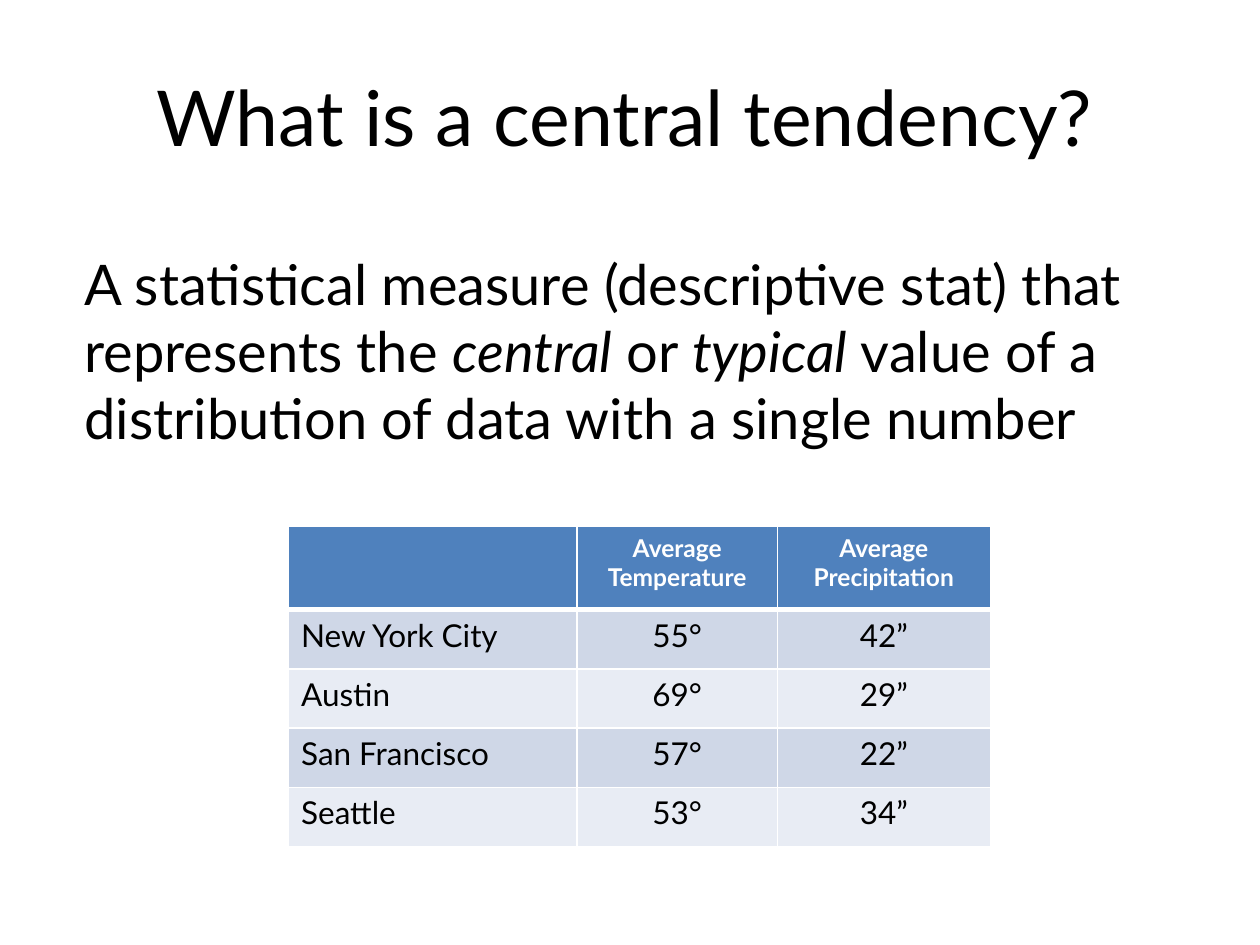
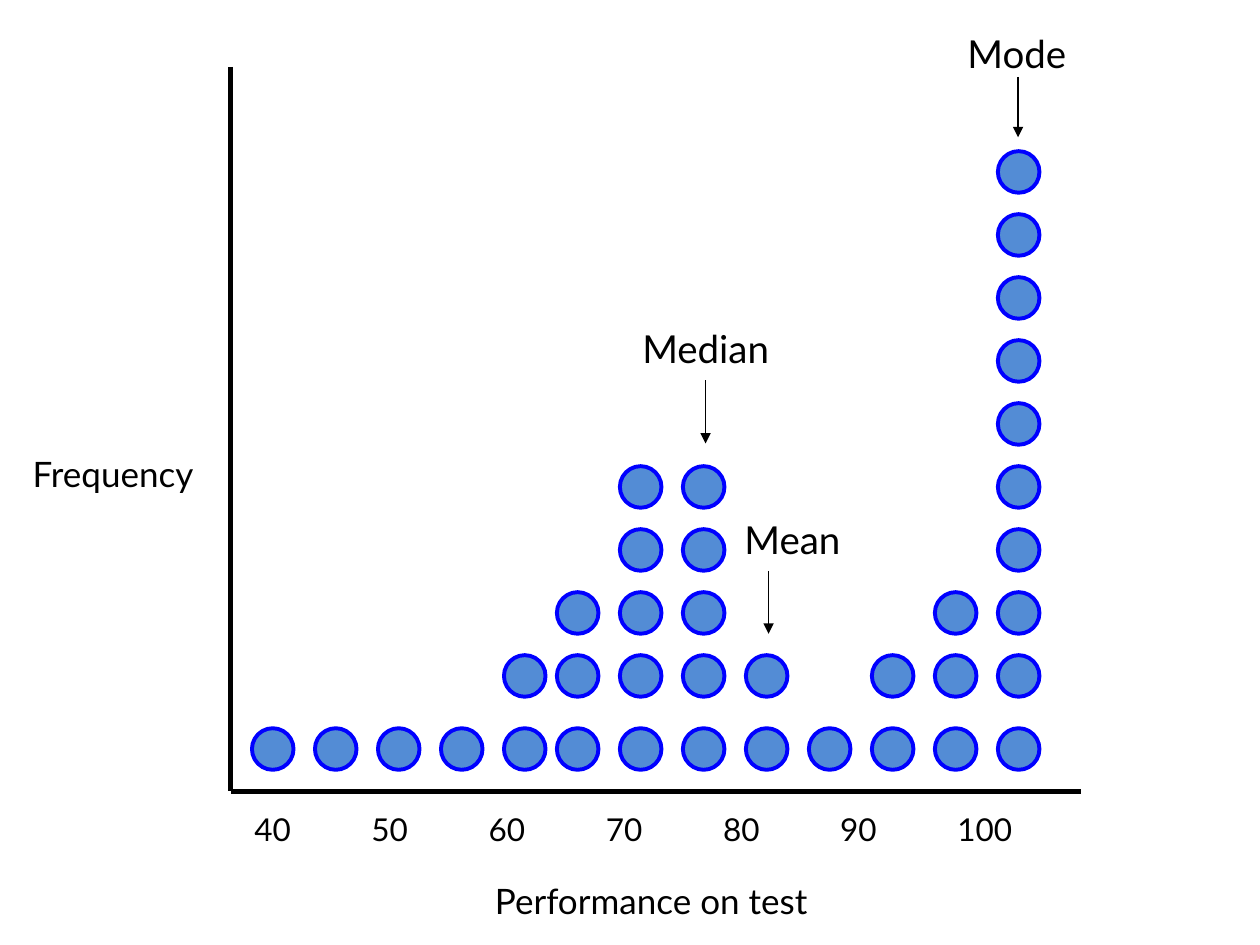
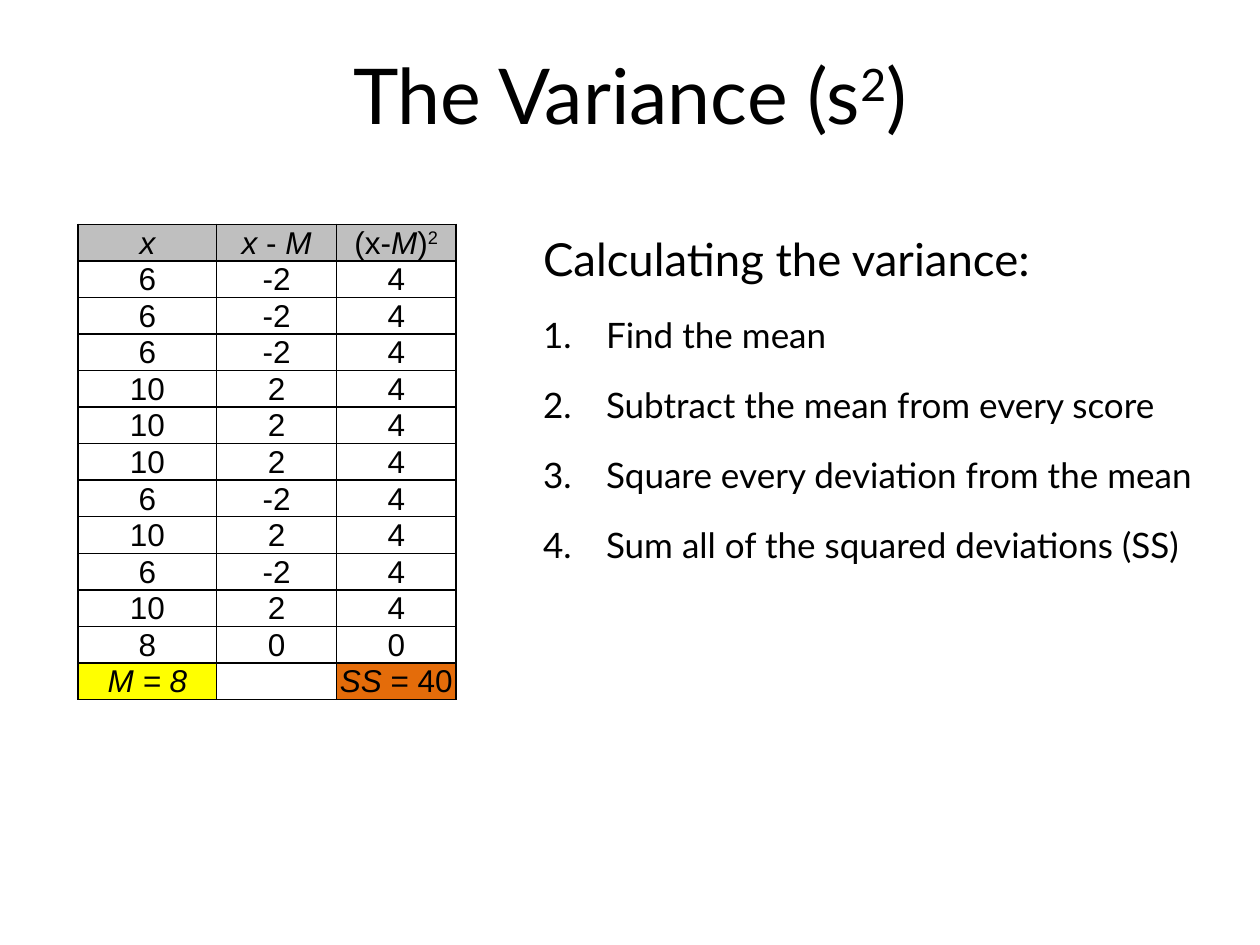
"""Build three slides on central tendency and variance."""
from lxml import etree
from pptx import Presentation
from pptx.dml.color import RGBColor
from pptx.enum.shapes import MSO_CONNECTOR, MSO_SHAPE
from pptx.enum.text import MSO_ANCHOR, PP_ALIGN
from pptx.oxml.ns import qn
from pptx.util import Inches, Pt

CENTER, LEFT = PP_ALIGN.CENTER, PP_ALIGN.LEFT
MIDDLE, BOTTOM = MSO_ANCHOR.MIDDLE, MSO_ANCHOR.BOTTOM
STRAIGHT, OVAL = MSO_CONNECTOR.STRAIGHT, MSO_SHAPE.OVAL

BLACK = RGBColor(0x00, 0x00, 0x00)
WHITE = RGBColor(0xFF, 0xFF, 0xFF)
HEADER_BLUE = RGBColor(0x4F, 0x81, 0xBD)
BAND_DARK = RGBColor(0xCF, 0xD7, 0xE7)
BAND_LIGHT = RGBColor(0xE8, 0xEC, 0xF4)
DOT_FILL = RGBColor(0x53, 0x8C, 0xD5)
DOT_LINE = RGBColor(0x00, 0x00, 0xFF)
HEADER_GREY = RGBColor(0xBF, 0xBF, 0xBF)
MEAN_YELLOW = RGBColor(0xFF, 0xFF, 0x00)
SUM_ORANGE = RGBColor(0xE4, 0x6C, 0x0A)
FONT, DATA_FONT = "Lato", "Arial"
ITALIC, SUPER = "italic", "super"


def write_runs(paragraph, parts, size, font=FONT, color=BLACK, bold=False):
    """Fill a paragraph with plain strings and (text, style) pairs."""
    for part in parts:
        text, style = (part, None) if isinstance(part, str) else part
        run = paragraph.add_run()
        run.text = text
        run.font.name, run.font.size, run.font.bold = font, Pt(size), bold
        run.font.color.rgb = color
        run.font.italic = style == ITALIC
        if style == SUPER:
            run._r.get_or_add_rPr().set("baseline", "30000")


def outline_cell(cell, color, bottom=1):
    """Draw the four borders of a table cell, with widths in points."""
    properties = cell._tc.get_or_add_tcPr()
    for side, width in (("L", 1), ("R", 1), ("T", 1), ("B", bottom)):
        border = etree.SubElement(properties, qn(f"a:ln{side}"), w=str(Pt(width)))
        solid = etree.SubElement(border, qn("a:solidFill"))
        etree.SubElement(solid, qn("a:srgbClr"), val=str(color))


prs = Presentation()
prs.slide_width, prs.slide_height = Inches(10), Inches(7.5)
title_and_body, blank = prs.slide_layouts[1], prs.slide_layouts[6]
tendency_slide = prs.slides.add_slide(title_and_body)
dot_slide = prs.slides.add_slide(blank)
variance_slide = prs.slides.add_slide(title_and_body)

DEFINITION = [
    "A statistical measure (descriptive stat) that represents the ",
    ("central", ITALIC), " or ", ("typical", ITALIC),
    " value of a distribution of data with a single number",
]
STEPS = [
    "Find the mean",
    "Subtract the mean from every score",
    "Square every deviation from the mean",
    "Sum all of the squared deviations (SS)",
]
for slide, heading, title_box, lead, lead_size, steps, body_box in (
    (tendency_slide, ["What is a central tendency?"], (0.5, 0.17, 8.92, 1.5),
     DEFINITION, 32, [], (0.57, 1.93, 8.83, 4.78)),
    (variance_slide, ["The Variance (s", ("2", SUPER), ")"], (0.5, 0.21, 9, 1.07),
     ["Calculating the variance:"], 26, STEPS, (4.21, 1.78, 5.56, 4.09)),
):
    title, body = slide.shapes.title, slide.placeholders[1]
    for holder, box in ((title, title_box), (body, body_box)):
        holder.left, holder.top, holder.width, holder.height = map(Inches, box)
    title.text_frame.vertical_anchor = MIDDLE
    title.text_frame.paragraphs[0].alignment = CENTER
    write_runs(title.text_frame.paragraphs[0], heading, 44)

    opening = body.text_frame.paragraphs[0]
    opening.space_before = Pt(0)
    opening_format = opening._p.get_or_add_pPr()
    opening_format.set("marL", "0")
    opening_format.set("indent", "0")
    etree.SubElement(opening_format, qn("a:buNone"))
    write_runs(opening, lead, lead_size)
    for step in steps:
        item = body.text_frame.add_paragraph()
        item.space_before = Pt(16)
        item_format = item._p.get_or_add_pPr()
        item_format.set("marL", str(Inches(0.5)))
        item_format.set("indent", str(Inches(-0.5)))
        etree.SubElement(item_format, qn("a:buFont"), typeface=FONT)
        etree.SubElement(item_format, qn("a:buAutoNum"), type="arabicPeriod")
        write_runs(item, [step], 20)

CLIMATE = [
    ("", "Average Temperature", "Average Precipitation"),
    ("New York City", "55°", "42”"),
    ("Austin", "69°", "29”"),
    ("San Francisco", "57°", "22”"),
    ("Seattle", "53°", "34”"),
]
climate = tendency_slide.shapes.add_table(
    5, 3, Inches(2.29), Inches(4.18), Inches(5.57), Inches(2.54)).table
climate.first_row = climate.horz_banding = False
for column, width in zip(climate.columns, (2.29, 1.59, 1.69)):
    column.width = Inches(width)
for r, values in enumerate(CLIMATE):
    is_header = r == 0
    climate.rows[r].height = Inches(0.66 if is_header else 0.47)
    for c, value in enumerate(values):
        cell = climate.cell(r, c)
        outline_cell(cell, WHITE, bottom=3 if is_header else 1)
        cell.fill.solid()
        cell.fill.fore_color.rgb = (
            HEADER_BLUE if is_header else BAND_DARK if r % 2 else BAND_LIGHT)
        paragraph = cell.text_frame.paragraphs[0]
        paragraph.alignment = CENTER if c else LEFT
        if value:
            write_runs(paragraph, [value], 14 if is_header else 18,
                       color=WHITE if is_header else BLACK, bold=is_header)

SCORES = ["40", "50", "60", "70", "80", "90", "100"]
for text, size, box in (
    ("Mode", 22, (7.58, 0.19, 1.02, 0.47)),
    ("Mean", 22, (5.81, 4.05, 0.98, 0.47)),
    ("Median", 22, (5, 2.53, 1.24, 0.47)),
    ("Frequency", 20, (0.16, 3.54, 1.62, 0.44)),
    ("Performance on test", 20, (3.83, 6.93, 5.33, 0.43)),
    ("\t".join(SCORES), 18, (1.92, 6.38, 7.17, 0.4)),
):
    label = dot_slide.shapes.add_textbox(*map(Inches, box)).text_frame
    label.word_wrap = True
    if "\t" in text:
        stops = etree.SubElement(
            label.paragraphs[0]._p.get_or_add_pPr(), qn("a:tabLst"))
        for i in range(1, len(SCORES)):
            etree.SubElement(stops, qn("a:tab"), pos=str(Inches(0.93 * i)), algn="l")
    write_runs(label.paragraphs[0], [text], size)

for ends, width, is_arrow in (
    ((8.08, 0.61, 8.08, 1.09), 0.75, True),
    ((6.1, 4.53, 6.1, 5.03), 0.75, True),
    ((5.6, 3.02, 5.6, 3.52), 0.75, True),
    ((1.83, 6.28, 8.58, 6.28), 3, False),
    ((1.83, 0.53, 1.83, 6.28), 3, False),
):
    line = dot_slide.shapes.add_connector(STRAIGHT, *map(Inches, ends))
    line.line.color.rgb, line.line.width = BLACK, Pt(width)
    line_format = line._element.spPr
    if is_arrow:
        etree.SubElement(line_format.find(qn("a:ln")), qn("a:tailEnd"), type="triangle")
    etree.SubElement(line_format, qn("a:effectLst"))

FREQUENCIES = [1, 1, 1, 1, 2, 3, 5, 5, 2, 1, 2, 3, 10]
DOT_SIZE, DOT_PITCH = Inches(0.33), 0.5
for i, frequency in enumerate(FREQUENCIES):
    left = (2 if i < 5 else 1.92) + DOT_PITCH * i
    for level in range(frequency):
        top = 5.7 - DOT_PITCH * level if level else 5.78
        dot = dot_slide.shapes.add_shape(
            OVAL, Inches(left), Inches(top), DOT_SIZE, DOT_SIZE)
        dot.shadow.inherit = False
        dot.fill.solid()
        dot.fill.fore_color.rgb = DOT_FILL
        dot.line.color.rgb, dot.line.width = DOT_LINE, Pt(2.25)

MEAN = 8
DATA = [6, 6, 6, 10, 10, 10, 6, 10, 6, 10, 8]
deviation_rows = [
    [[("x", ITALIC)], [("x", ITALIC), " - ", ("M", ITALIC)],
     ["(x-", ("M", ITALIC), ")", ("2", SUPER)]],
    *([[str(x)], [str(x - MEAN)], [str((x - MEAN) ** 2)]] for x in DATA),
    [[("M = 8", ITALIC)], [""], [("SS", ITALIC), " = 40"]],
]
last_row = len(deviation_rows) - 1
cell_fills = {(0, c): HEADER_GREY for c in range(3)}
cell_fills.update({(last_row, 0): MEAN_YELLOW, (last_row, 2): SUM_ORANGE})
deviations = variance_slide.shapes.add_table(
    len(deviation_rows), 3, Inches(0.62), Inches(1.78), Inches(3), Inches(3.64)).table
deviations.first_row = deviations.horz_banding = False
for column, width in zip(deviations.columns, (1.1, 0.95, 0.95)):
    column.width = Inches(width)
for r, values in enumerate(deviation_rows):
    deviations.rows[r].height = Inches(0.28)
    for c, parts in enumerate(values):
        cell = deviations.cell(r, c)
        outline_cell(cell, BLACK)
        cell.margin_left = cell.margin_right = cell.margin_top = Inches(0.01)
        cell.margin_bottom = 0
        cell.vertical_anchor = BOTTOM
        if (r, c) in cell_fills:
            cell.fill.solid()
            cell.fill.fore_color.rgb = cell_fills[r, c]
        else:
            cell.fill.background()
        paragraph = cell.text_frame.paragraphs[0]
        paragraph.alignment = CENTER
        write_runs(paragraph, parts, 18, font=DATA_FONT)

prs.save("out.pptx")
